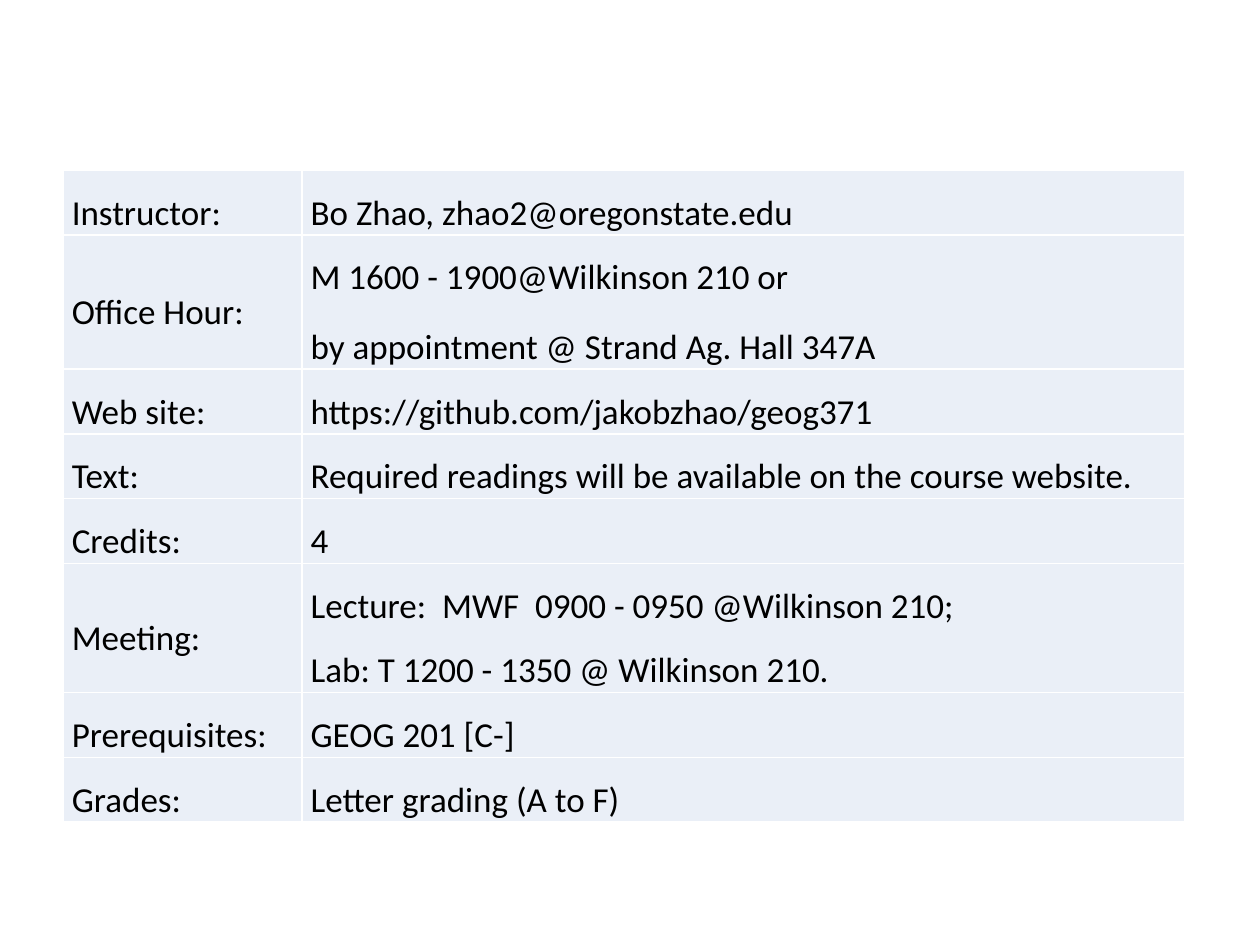
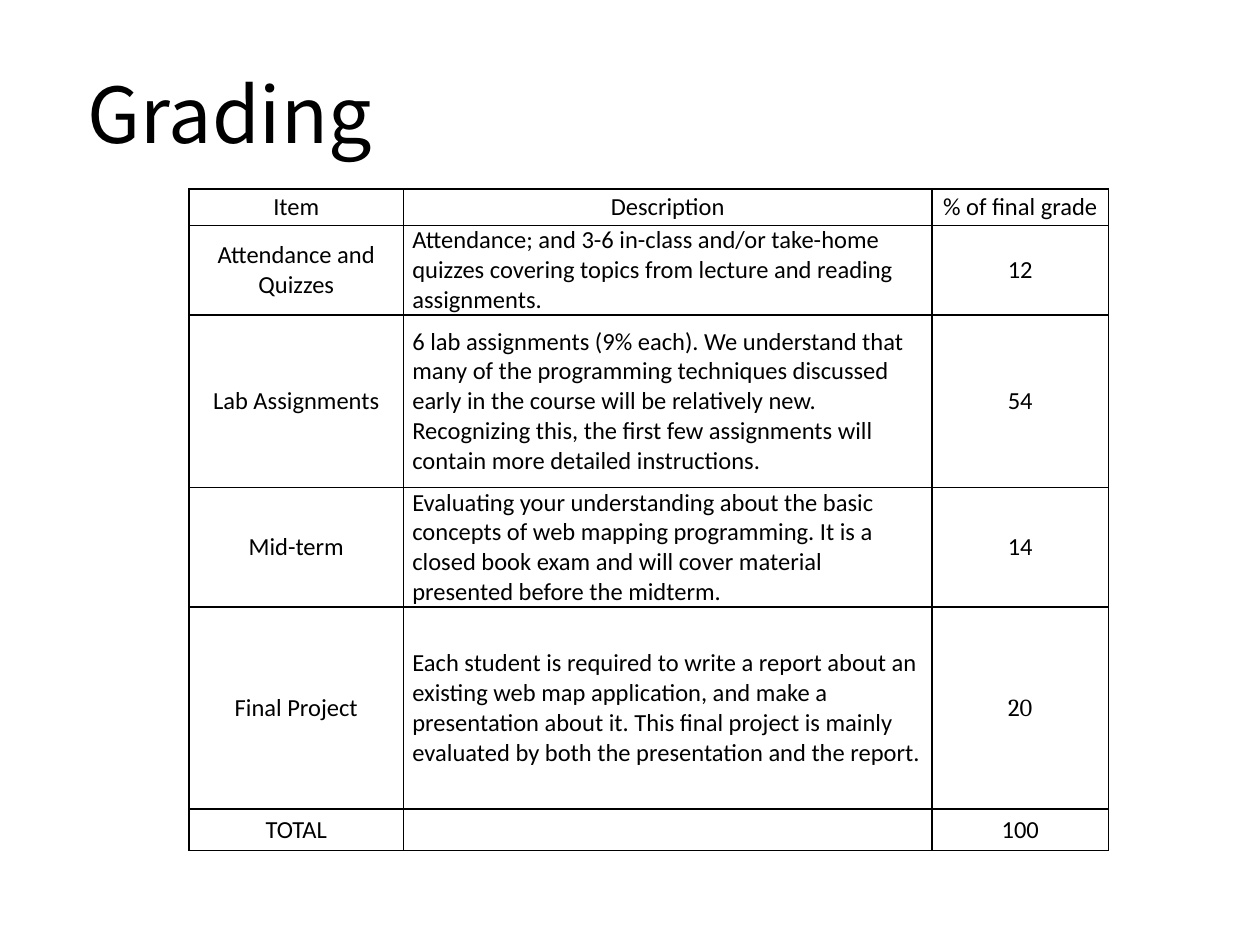
from lxml import etree
from pptx import Presentation
from pptx import util as u
from pptx.dml.color import RGBColor
from pptx.enum import text
from pptx.oxml.ns import qn

COLORS = {"ink": "000000", "band": "EAEFF7", "rule": "FFFFFF"}
FONTS = {"body": "Calibri", "number": "Cambria", "title": "Noto Sans CJK SC"}
SLIDE_W, SLIDE_H = u.Inches(10), u.Inches(7.5)
CENTER, LEFT = text.PP_ALIGN.CENTER, text.PP_ALIGN.LEFT
MIDDLE = text.MSO_ANCHOR.MIDDLE

COURSE = [
    ("Instructor:", ["Bo Zhao, zhao2@oregonstate.edu"]),
    ("Office Hour:", ["M 1600 - 1900@Wilkinson 210 or", "by appointment @ Strand Ag. Hall 347A"]),
    ("Web site:", ["https://github.com/jakobzhao/geog371"]),
    ("Text:", ["Required readings will be available on the course website."]),
    ("Credits:", ["4"]),
    ("Meeting:", ["Lecture:  MWF  0900 - 0950 @Wilkinson 210;", "Lab: T 1200 - 1350 @ Wilkinson 210."]),
    ("Prerequisites:", ["GEOG 201 [C-]"]),
    ("Grades:", ["Letter grading (A to F)"]),
]
GRADES = [
    ("Item", "Description", "% of final grade"),
    ("Attendance and Quizzes",
     "Attendance; and 3-6 in-class and/or take-home quizzes covering topics from lecture "
     "and reading assignments.", "12"),
    ("Lab Assignments",
     "6 lab assignments (9% each). We understand that many of the programming techniques "
     "discussed early in the course will be relatively new. Recognizing this, the first few "
     "assignments will contain more detailed instructions.", "54"),
    ("Mid-term",
     "Evaluating your understanding about the basic concepts of web mapping programming. It is "
     "a closed book exam and will cover material presented before the midterm.", "14"),
    ("Final Project",
     "Each student is required to write a report about an existing web map application, and make "
     "a presentation about it. This final project is mainly evaluated by both the presentation "
     "and the report.", "20"),
    ("TOTAL", "", "100"),
]


def set_all(obj, values):
    """Set every attribute in a dict of format values."""
    for name, value in values.items():
        setattr(obj, name, value)


def place(box):
    """Turn shares of the slide into left, top, width and height."""
    return [int(share * side) for share, side in zip(box, (SLIDE_W, SLIDE_H) * 2)]


def write(tf, lines, size, font="body", **layout):
    """Write one paragraph per line, with shared run and paragraph formats."""
    gap = layout.pop("space_before", u.Pt(0))
    for i, line in enumerate(lines):
        p = tf.add_paragraph() if i else tf.paragraphs[0]
        set_all(p, layout)
        if i:
            p.space_before = gap
        r = p.add_run()
        r.text = line
        set_all(r.font, {"name": FONTS[font], "size": u.Pt(size)})
        r.font.color.rgb = RGBColor.from_string(COLORS["ink"])


def draw_borders(cell, color):
    """Rule all four sides of a cell, ahead of its fill."""
    tc_pr = cell._tc.get_or_add_tcPr()
    for i, side in enumerate(("lnL", "lnR", "lnT", "lnB")):
        ln = etree.Element(qn(f"a:{side}"), w=str(u.Pt(1)))
        fill = etree.SubElement(ln, qn("a:solidFill"))
        etree.SubElement(fill, qn("a:srgbClr"), val=COLORS[color])
        tc_pr.insert(i, ln)


def add_grid(s, box, cols, rows, rule, fill=None):
    """Add a ruled table whose columns and rows share out its box."""
    x, y, w, h = place(box)
    table = s.shapes.add_table(len(rows), len(cols), x, y, w, h).table
    set_all(table, {"first_row": False, "horz_banding": False})
    for col, part in zip(table.columns, cols):
        col.width = int(w * part / sum(cols))
    for row, part in zip(table.rows, rows):
        row.height = int(h * part / sum(rows))
    for cell in table.iter_cells():
        set_all(cell, {"margin_left": u.Inches(0.07), "margin_right": u.Inches(0.07),
                       "margin_top": 0, "margin_bottom": 0, "vertical_anchor": MIDDLE})
        if fill:
            cell.fill.solid()
            cell.fill.fore_color.rgb = RGBColor.from_string(COLORS[fill])
        else:
            cell.fill.background()
        draw_borders(cell, rule)
    return table


def add_title(s, box, title):
    """Add the slide title in its box."""
    tf = s.shapes.add_textbox(*place(box)).text_frame
    set_all(tf, {"word_wrap": True, "vertical_anchor": MIDDLE})
    write(tf, [title], 44, "title", line_spacing=0.9)


def course_table(s, box):
    """Fill the box with course facts, one label and its details per row."""
    rows = [0.51, 1.06, 0.51, 0.51, 0.51, 1.02, 0.51, 0.51]
    table = add_grid(s, box, [1.9, 7.02], rows, "rule", "band")
    for i, (label, details) in enumerate(COURSE):
        gap = u.Pt(3 if label == "Office Hour:" else 0)
        for j, lines in enumerate(([label], details)):
            write(table.cell(i, j).text_frame, lines, 20, line_spacing=1.5, space_before=gap)


def grading_table(s, box):
    """Fill the box with graded items, their descriptions and weights."""
    rows = [0.29, 0.71, 1.37, 0.95, 1.6, 0.33]
    table = add_grid(s, box, [1.71, 4.21, 1.41], rows, "ink")
    for i, record in enumerate(GRADES):
        for j, value in enumerate(record):
            if value:
                font = "number" if value == "20" else "body"
                align = LEFT if i and j == 1 else CENTER
                write(table.cell(i, j).text_frame, [value], 14, font, alignment=align)


def main():
    """Build both slides and save the deck."""
    prs = Presentation()
    set_all(prs, {"slide_width": SLIDE_W, "slide_height": SLIDE_H})
    info, grading = (prs.slides.add_slide(prs.slide_layouts[6]) for _ in range(2))
    course_table(info, (0.05, 0.18, 0.89, 0.69))
    add_title(grading, (0.06, 0.07, 0.86, 0.11), "Grading")
    grading_table(grading, (0.15, 0.2, 0.73, 0.7))
    prs.save("out.pptx")


if __name__ == "__main__":
    main()
